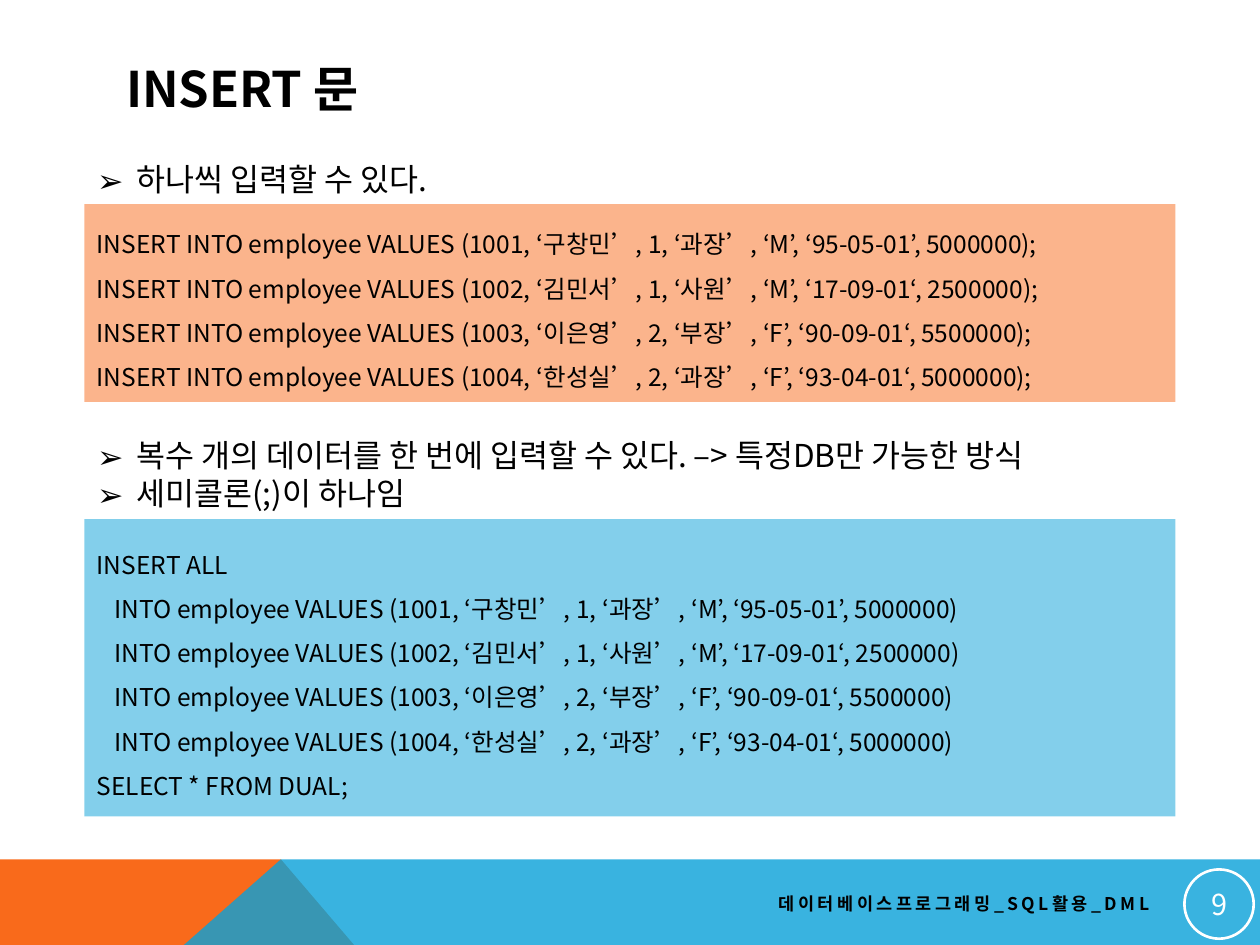
from dataclasses import dataclass
from lxml import etree
from pptx import Presentation
from pptx.dml.color import RGBColor as RGB
from pptx.enum.shapes import MSO_SHAPE as SHAPE
from pptx.enum.text import MSO_ANCHOR as ANCHOR, MSO_AUTO_SIZE as AUTO, PP_ALIGN as ALIGN
from pptx.oxml.ns import qn
from pptx.util import Inches, Pt


@dataclass(frozen=True)
class Theme:
    font: str = "Noto Sans CJK KR"
    orange: RGB = RGB.from_string("F96A1B")
    blue: RGB = RGB.from_string("08A1D9")
    black: RGB = RGB.from_string("000000")
    white: RGB = RGB.from_string("FFFFFF")
    title: float = 28
    bullet: float = 18
    code: float = 14
    footer: float = 10
    number: float = 16.5


theme = Theme()


def write(s, lines, size, color=theme.black, bold=False, align=ALIGN.LEFT, spacing=1.0):
    """Fill a shape with formatted paragraphs, centred vertically."""
    tf = s.text_frame
    tf.text = "\n".join(lines)
    tf.vertical_anchor = ANCHOR.MIDDLE
    tf.word_wrap = True
    for p in tf.paragraphs:
        p.alignment, p.line_spacing = align, spacing
        p.space_before = p.space_after = Pt(0)
        for r in p.runs:
            r.font.name, r.font.size, r.font.bold = theme.font, Pt(size), bold
            r.font.color.rgb = color
            etree.SubElement(r.font._element, qn("a:ea"), typeface=theme.font)
    return tf


def paint(s, color, opacity=100):
    """Give a shape a flat fill with no line or shadow."""
    s.shadow.inherit = False
    s.line.fill.background()
    s.fill.solid()
    s.fill.fore_color.rgb = color
    if opacity < 100:
        clr = s.fill._xPr.find(qn("a:solidFill"))[0]
        etree.SubElement(clr, qn("a:alpha"), val=str(opacity * 1000))


prs = Presentation()
prs.slide_width, prs.slide_height = Inches(10), Inches(7.5)
slide = prs.slides.add_slide(prs.slide_layouts[3])
shapes = slide.shapes
title, *lists = slide.placeholders

# Footer band
bands = [
    ([(0, 7.5), (0, 6.82), (2.23, 6.82), (2.81, 7.5)], theme.orange, 100),
    ([(1.46, 7.5), (2.23, 6.82), (10, 6.82), (10, 7.5)], theme.blue, 80),
]
for points, color, opacity in bands:
    start, *rest = [(Inches(x), Inches(y)) for x, y in points]
    outline = shapes.build_freeform(*start)
    outline.add_line_segments(rest, close=True)
    paint(outline.convert_to_shape(), color, opacity)

footer = shapes.add_textbox(Inches(3.58), Inches(7.02), Inches(5.64), Inches(0.3))
tf = write(footer, ["데이터베이스프로그래밍_SQL활용_DML"], theme.footer, bold=True, align=ALIGN.RIGHT)
tf.paragraphs[0].runs[0].font._element.set("spc", "200")

badge = shapes.add_shape(SHAPE.OVAL, Inches(9.4), Inches(6.9), Inches(0.55), Inches(0.55))
badge.shadow.inherit = False
badge.fill.background()
badge.line.color.rgb, badge.line.width = theme.white, Pt(1.5)
tf = write(badge, ["9"], theme.number, theme.white, align=ALIGN.CENTER)
tf.margin_left = tf.margin_right = tf.margin_top = tf.margin_bottom = Inches(0.01)

# Title
title.left, title.top, title.width, title.height = map(Inches, (0.9, 0.4, 8.22, 0.6))
write(title, ["INSERT 문"], theme.title, bold=True)

# Bulleted lists
list_data = [
    (1.22, 3.11, 0.4, ["하나씩 입력할 수 있다."]),
    (3.41, 8.43, 0.71, ["복수 개의 데이터를 한 번에 입력할 수 있다. –> 특정DB만 가능한 방식",
                        "세미콜론(;)이 하나임"]),
]
for body, (top, width, height, lines) in zip(lists, list_data):
    body.left, body.top, body.width, body.height = map(Inches, (0.67, top, width, height))
    tf = write(body, lines, theme.bullet)
    tf.vertical_anchor = ANCHOR.TOP
    tf.auto_size = AUTO.SHAPE_TO_FIT_TEXT
    tf.word_wrap = False
    for p in tf.paragraphs:
        pPr = p._p.get_or_add_pPr()
        pPr.set("marL", str(Inches(0.31)))
        pPr.set("indent", str(Inches(-0.31)))
        etree.SubElement(pPr, qn("a:buFont"), typeface=theme.font)
        etree.SubElement(pPr, qn("a:buChar"), char="➢")

# Code panels
employees = [
    "1001, ‘구창민’, 1, ‘과장’, ‘M’, ‘95-05-01’, 5000000",
    "1002, ‘김민서’, 1, ‘사원’, ‘M’, ‘17-09-01‘, 2500000",
    "1003, ‘이은영’, 2, ‘부장’, ‘F’, ‘90-09-01‘, 5500000",
    "1004, ‘한성실’, 2, ‘과장’, ‘F’, ‘93-04-01‘, 5000000",
]
clauses = [f"INTO employee VALUES ({row})" for row in employees]
panels = [
    (1.62, 1.57, theme.orange, [f"INSERT {clause};" for clause in clauses]),
    (4.12, 2.36, theme.blue, ["INSERT ALL", *clauses, "SELECT * FROM DUAL;"]),
]
for top, height, color, lines in panels:
    panel = shapes.add_shape(SHAPE.RECTANGLE, Inches(0.67), Inches(top), Inches(8.66), Inches(height))
    paint(panel, color, 50)
    tf = write(panel, lines, theme.code, spacing=1.5)
    for p in tf.paragraphs:
        if p.text.startswith("INTO"):
            p._p.get_or_add_pPr().set("marL", str(Inches(0.14)))

prs.save("out.pptx")
